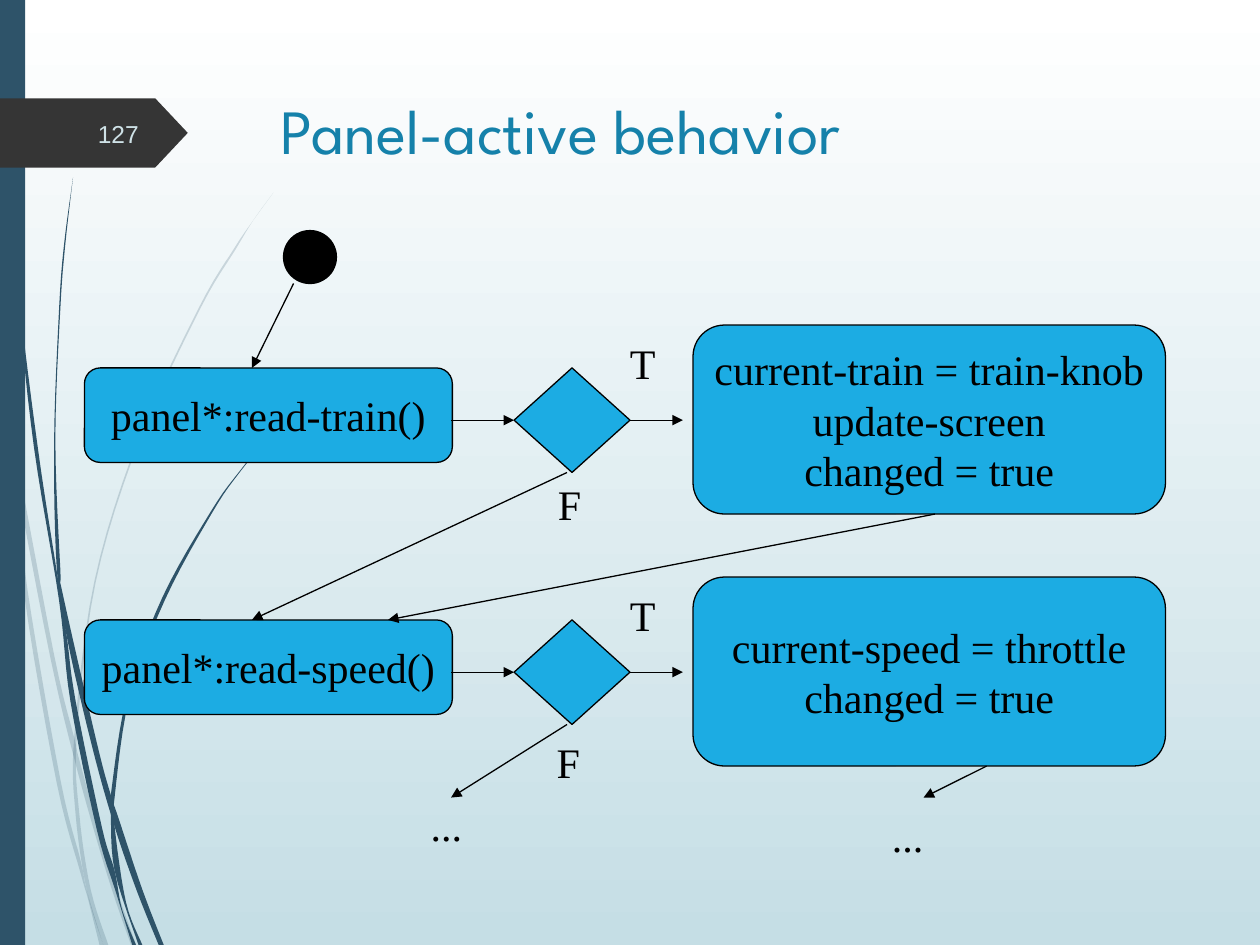
from dataclasses import dataclass

from pptx import Presentation
from pptx.dml.color import RGBColor
from pptx.enum.shapes import MSO_CONNECTOR, MSO_SHAPE
from pptx.enum.text import MSO_ANCHOR, MSO_AUTO_SIZE, PP_ALIGN
from pptx.oxml.ns import qn
from pptx.util import Inches, Pt
from lxml import etree

LINE = MSO_CONNECTOR.STRAIGHT
RECT, ROUND = MSO_SHAPE.RECTANGLE, MSO_SHAPE.ROUNDED_RECTANGLE
OVAL, DIAMOND, TAG = MSO_SHAPE.OVAL, MSO_SHAPE.DIAMOND, MSO_SHAPE.PENTAGON
TOP, MIDDLE = MSO_ANCHOR.TOP, MSO_ANCHOR.MIDDLE
LEFT, CENTER, RIGHT = PP_ALIGN.LEFT, PP_ALIGN.CENTER, PP_ALIGN.RIGHT
SERIF = "Times New Roman"
HUES = {"ink": "000000", "box": "1CACE3", "navy": "2E5369", "tag": "353535",
        "title": "1581AA", "page": "CFE2E7", "sky": "FFFFFF", "mist": "C5DEE5"}


@dataclass
class Strand:
    down: list
    up: list
    alpha: int = 100


@dataclass
class Row:
    top: float
    call: str
    steps: str


STRANDS = [
    Strand([(0, 2.82), (.06, 3.22), (.1, 3.45), (.43, 5.2), (.59, 5.86),
            (.64, 6.07), (.88, 6.92), (1.08, 7.5)],
           [(1.04, 7.5), (.85, 6.94), (.61, 6.1), (.4, 5.22), (.12, 3.76),
            (.08, 3.5), (0, 2.99)], 20),
    Strand([(.08, 3.5), (.12, 3.76), (.22, 4.69), (.48, 6.19), (.64, 6.83),
            (.69, 7.07), (.82, 7.5)],
           [(.79, 7.5), (.7, 7.14), (.64, 6.93), (.45, 6.21), (.19, 4.7),
            (.08, 3.5)], 20),
    Strand([(2.17, 1.53), (2.01, 1.75), (1.87, 1.98), (1.59, 2.45),
            (1.11, 3.49), (.76, 4.62), (.61, 5.84), (.63, 6.46),
            (.72, 7.06), (.86, 7.5)],
           [(.82, 7.5), (.69, 7.07), (.6, 6.46), (.59, 5.84), (.75, 4.61),
            (1.1, 3.48), (1.58, 2.44), (1.86, 1.97), (2.01, 1.75),
            (2.17, 1.53)], 20),
    Strand([(.03, 0), (.04, .48), (.06, 1.09), (.15, 2.32), (.3, 3.55),
            (.45, 4.53), (.53, 5.05), (.6, 5.56), (.81, 6.57), (.91, 6.91),
            (.97, 7.22), (1.08, 7.5)],
           [(1.05, 7.5), (.92, 7.08), (.77, 6.59), (.56, 5.57), (.47, 4.77),
            (.27, 3.55), (.14, 2.33), (.05, 1.1), (.03, .48), (.02, 0)]),
    Strand([(.58, 1.41), (.52, 1.93), (.48, 2.44), (.44, 3.49), (.48, 4.53),
            (.5, 4.72), (.77, 5.9), (.88, 6.31), (.94, 6.49), (1.13, 7.06),
            (1.3, 7.5)],
           [(1.26, 7.5), (1.09, 7.08), (.91, 6.56), (.73, 5.92), (.53, 5.05),
            (.45, 4.49), (.43, 3.49), (.47, 2.44), (.51, 1.93), (.58, 1.41)]),
    Strand([(2.16, 3.44), (1.91, 3.74), (1.69, 4.06), (1.31, 4.76),
            (1.03, 5.52), (.91, 6.33), (.91, 6.56), (1, 7.16), (1.13, 7.5)],
           [(1.1, 7.5), (.91, 6.91), (.88, 6.45), (.88, 6.31), (1.01, 5.51),
            (1.29, 4.74), (1.68, 4.05), (1.91, 3.73), (2.15, 3.44)]),
]
ROWS = [
    Row(2.92, "panel*:read-train()",
        "current-train = train-knob\nupdate-screen\nchanged = true"),
    Row(4.92, "panel*:read-speed()", "current-speed = throttle\nchanged = true"),
]
LABELS = [("F", 4.33, 3.75, .39), ("F", 4.32, 5.8, .38),
          ("...", 3.32, 6.3, .45), ("...", 6.98, 6.38, .45)]
ARROWS = [((2.33, 2.25), (2, 2.92)), ((4.5, 3.75), (2, 4.92)),
          ((4.5, 5.75), (3.58, 6.33)), ((7.42, 4.08), (3.08, 4.92)),
          ((7.83, 6.08), (7.33, 6.33))]


def rgb(name: str) -> RGBColor:
    return RGBColor.from_string(HUES[name])


def write(shape, text: str, size=24, font=SERIF, hue="ink", align=CENTER,
          anchor=MIDDLE, wrap=False) -> None:
    frame = shape.text_frame
    frame.text = text
    frame.word_wrap = wrap
    frame.vertical_anchor = anchor
    for para in frame.paragraphs:
        para.alignment = align
        para.font.size = Pt(size)
        para.font.name = font
        para.font.color.rgb = rgb(hue)


def paint(shape, hue: str, edge=False) -> None:
    shape.shadow.inherit = False
    shape.fill.solid()
    shape.fill.fore_color.rgb = rgb(hue)
    if edge:
        shape.line.color.rgb = rgb("ink")
        shape.line.width = Pt(.75)
    else:
        shape.line.fill.background()


def block(slide, kind, x: float, y: float, w: float, h: float, hue="box",
          edge=True):
    shape = slide.shapes.add_shape(kind, Inches(x), Inches(y), Inches(w), Inches(h))
    paint(shape, hue, edge)
    return shape


def label(slide, text: str, x: float, y: float, w: float) -> None:
    box = slide.shapes.add_textbox(Inches(x), Inches(y), Inches(w), Inches(.5))
    write(box, text, align=LEFT, anchor=TOP)
    box.text_frame.auto_size = MSO_AUTO_SIZE.SHAPE_TO_FIT_TEXT


def arrow(slide, start: tuple, end: tuple):
    line = slide.shapes.add_connector(LINE, *map(Inches, start + end))
    line.line.color.rgb = rgb("ink")
    line.line.width = Pt(.75)
    etree.SubElement(line.line._get_or_add_ln(), qn("a:tailEnd"), type="triangle")
    etree.SubElement(line._element.spPr, qn("a:effectLst"))
    return line


def smooth(knots: list, steps=6) -> list:
    pads = [knots[0], *knots, knots[-1]]
    curve = []
    for a, b, c, d in zip(pads, pads[1:], pads[2:], pads[3:]):
        for t in (i / steps for i in range(steps)):
            curve.append(tuple(
                Inches((2 * q + (r - p) * t + (2 * p - 5 * q + 4 * r - s) * t ** 2
                        + (3 * q - p - 3 * r + s) * t ** 3) / 2)
                for p, q, r, s in zip(a, b, c, d)))
    return curve + [tuple(map(Inches, knots[-1]))]


def wisp(slide, strand: Strand) -> None:
    first, *rest = smooth(strand.down) + smooth(strand.up)
    pen = slide.shapes.build_freeform(*first)
    pen.add_line_segments(rest, close=True)
    shape = pen.convert_to_shape()
    paint(shape, "navy")
    if strand.alpha < 100:
        tint = shape._element.spPr.find(f"{qn('a:solidFill')}/{qn('a:srgbClr')}")
        etree.SubElement(tint, qn("a:alpha"), val=str(strand.alpha * 1000))


def flow(slide, row: Row) -> None:
    y = row.top
    mid = y + .415
    write(block(slide, ROUND, .67, y, 2.92, .75), row.call)
    write(block(slide, ROUND, 5.5, y - .34, 3.75, 1.5), row.steps)
    test = block(slide, DIAMOND, 4.08, y, .92, .83)
    arrow(slide, (3.58, mid), (4.08, mid)).end_connect(test, 1)
    arrow(slide, (5, mid), (5.42, mid)).begin_connect(test, 3)
    label(slide, "T", 4.9, y - .29, .4)


def main() -> None:
    deck = Presentation()
    deck.slide_width, deck.slide_height = Inches(10), Inches(7.5)
    slide = deck.slides.add_slide(deck.slide_layouts[5])
    back = slide.background.fill
    back.gradient()
    back.gradient_angle = 270
    for stop, hue in zip(back.gradient_stops, ("sky", "mist")):
        stop.color.rgb = rgb(hue)

    for strand in STRANDS:
        wisp(slide, strand)
    block(slide, RECT, 0, 0, .2, 7.5, "navy", False)
    tag = block(slide, TAG, 0, .78, 1.49, .55, "tag", False)
    tag.adjustments[0] = .47

    title = slide.shapes.title
    title.left, title.top = Inches(2.13), Inches(.68)
    title.width, title.height = Inches(7.21), Inches(1.4)
    write(title, "Panel-active behavior", 36, "League Spartan", "title", LEFT, TOP, True)
    title.text_frame.auto_size = MSO_AUTO_SIZE.NONE
    page = slide.shapes.add_textbox(Inches(.56), Inches(.86), Inches(.64), Inches(.4))
    write(page, "127", 14, "Arial", "page", RIGHT, wrap=True)

    block(slide, OVAL, 2.25, 1.83, .42, .42, "ink")
    for row in ROWS:
        flow(slide, row)
    for start, end in ARROWS:
        arrow(slide, start, end)
    for item in LABELS:
        label(slide, *item)
    deck.save("out.pptx")


if __name__ == "__main__":
    main()
